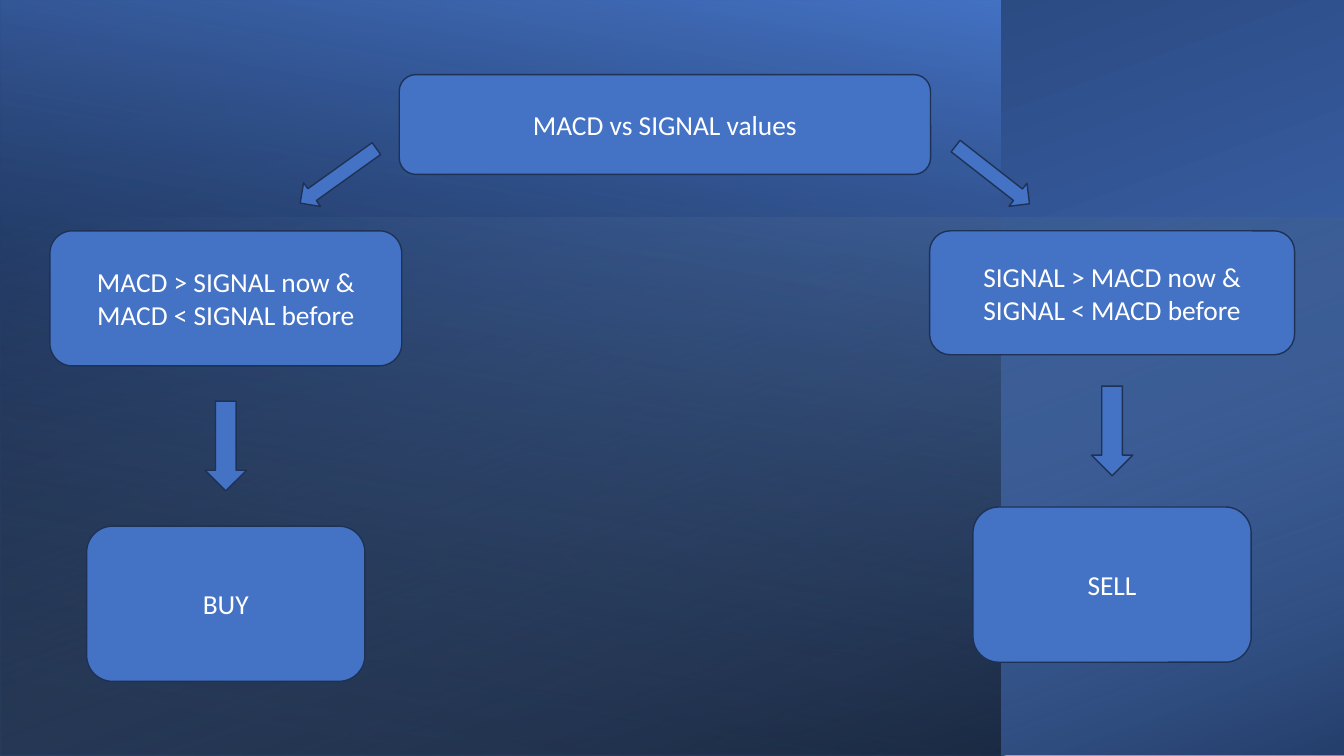
from dataclasses import dataclass

from lxml import etree
from pptx import Presentation
from pptx.dml.color import RGBColor
from pptx.enum.shapes import MSO_SHAPE
from pptx.enum.text import MSO_ANCHOR, PP_ALIGN
from pptx.oxml.ns import qn
from pptx.util import Inches, Pt

RECTANGLE = MSO_SHAPE.RECTANGLE
ROUNDED = MSO_SHAPE.ROUNDED_RECTANGLE
DOWN_ARROW = MSO_SHAPE.DOWN_ARROW
RIGHT_ARROW = MSO_SHAPE.RIGHT_ARROW
CENTER = PP_ALIGN.CENTER
MIDDLE = MSO_ANCHOR.MIDDLE


@dataclass(frozen=True)
class Theme:
    blue: str = "4472C4"
    navy: str = "203864"
    pale_blue: str = "9DC3E6"
    black: str = "000000"
    outline: str = "1E3256"
    white: str = "FFFFFF"
    font: str = "Calibri"
    text_size: float = 19.6
    line_width: float = 1


class FlowSlide:
    def __init__(self, slide, theme):
        self.slide = slide
        self.theme = theme

    def shape(self, kind, left, top, width, height, rotation=0):
        shape = self.slide.shapes.add_shape(
            kind, Inches(left), Inches(top), Inches(width), Inches(height))
        shape.rotation = rotation
        shape.shadow.inherit = False
        return shape

    def backdrop(self, left, top, width, height, rotation, angle, stops):
        """Add a mirrored gradient panel; stops are (position, colour, opacity) in percent."""
        panel = self.shape(RECTANGLE, left, top, width, height, rotation)
        panel.line.fill.background()
        panel.fill.gradient()
        panel.fill.gradient_angle = 360 - angle
        for stop, (position, colour, opacity) in zip(panel.fill.gradient_stops, stops):
            stop.position = position / 100
            stop.color.rgb = RGBColor.from_string(colour)
        properties = panel._element.spPr
        properties.find(qn("a:xfrm")).set("flipH", "1")
        for colour_node, stop in zip(properties.iter(qn("a:srgbClr")), stops):
            if stop[2] < 100:
                etree.SubElement(colour_node, qn("a:alpha")).set("val", str(stop[2] * 1000))

    def block(self, kind, left, top, width, height, rotation=0):
        """Add a blue outlined shape, used for boxes and arrows alike."""
        block = self.shape(kind, left, top, width, height, rotation)
        block.fill.solid()
        block.fill.fore_color.rgb = RGBColor.from_string(self.theme.blue)
        block.line.color.rgb = RGBColor.from_string(self.theme.outline)
        block.line.width = Pt(self.theme.line_width)
        return block

    def box(self, text, left, top, width, height):
        frame = self.block(ROUNDED, left, top, width, height).text_frame
        frame.text = text
        frame.word_wrap = True
        frame.vertical_anchor = MIDDLE
        para = frame.paragraphs[0]
        para.alignment = CENTER
        para.space_after = Pt(6)
        font = para.runs[0].font
        font.name = self.theme.font
        font.size = Pt(self.theme.text_size)
        font.color.rgb = RGBColor.from_string(self.theme.white)

    def branch(self, center, condition, width, height, gap, action):
        """Stack a condition, a down arrow and an action on one centre line."""
        top = 2.29
        arrow_width, arrow_height = 0.41, 0.89
        action_width, action_height = 2.76, 1.54
        self.box(condition, center - width / 2, top, width, height)
        top += height + gap
        self.block(DOWN_ARROW, center - arrow_width / 2, top, arrow_width, arrow_height)
        top += arrow_height + gap
        self.box(action, center - action_width / 2, top, action_width, action_height)


def main():
    deck = Presentation()
    deck.slide_width = Inches(13.33)
    deck.slide_height = Inches(7.5)
    theme = Theme()
    blank_layout = deck.slide_layouts[6]
    flow = FlowSlide(deck.slides.add_slide(blank_layout), theme)

    flow.backdrop(2.92, -2.92, 7.5, 13.33, 270, 200,
                  [(8, theme.blue, 100), (100, theme.navy, 100)])
    flow.backdrop(0, 0, 9.92, 7.5, 180, 80,
                  [(8, theme.black, 52), (100, theme.blue, 100)])
    flow.backdrop(3.99, -1.84, 5.35, 13.34, 270, 20,
                  [(0, theme.pale_blue, 0), (100, theme.black, 46)])

    flow.box("MACD vs SIGNAL values", 3.96, 0.74, 5.27, 0.99)
    flow.branch(2.24, "MACD > SIGNAL now & MACD < SIGNAL before", 3.49, 1.34, 0.35, "BUY")
    flow.branch(11.03, "SIGNAL > MACD now & SIGNAL < MACD before", 3.62, 1.23, 0.31, "SELL")
    for left, top, rotation in [(9.38, 1.59, 38), (2.89, 1.6, 144.4)]:
        flow.block(RIGHT_ARROW, left, top, 0.93, 0.29, rotation)

    deck.save("out.pptx")


if __name__ == "__main__":
    main()
